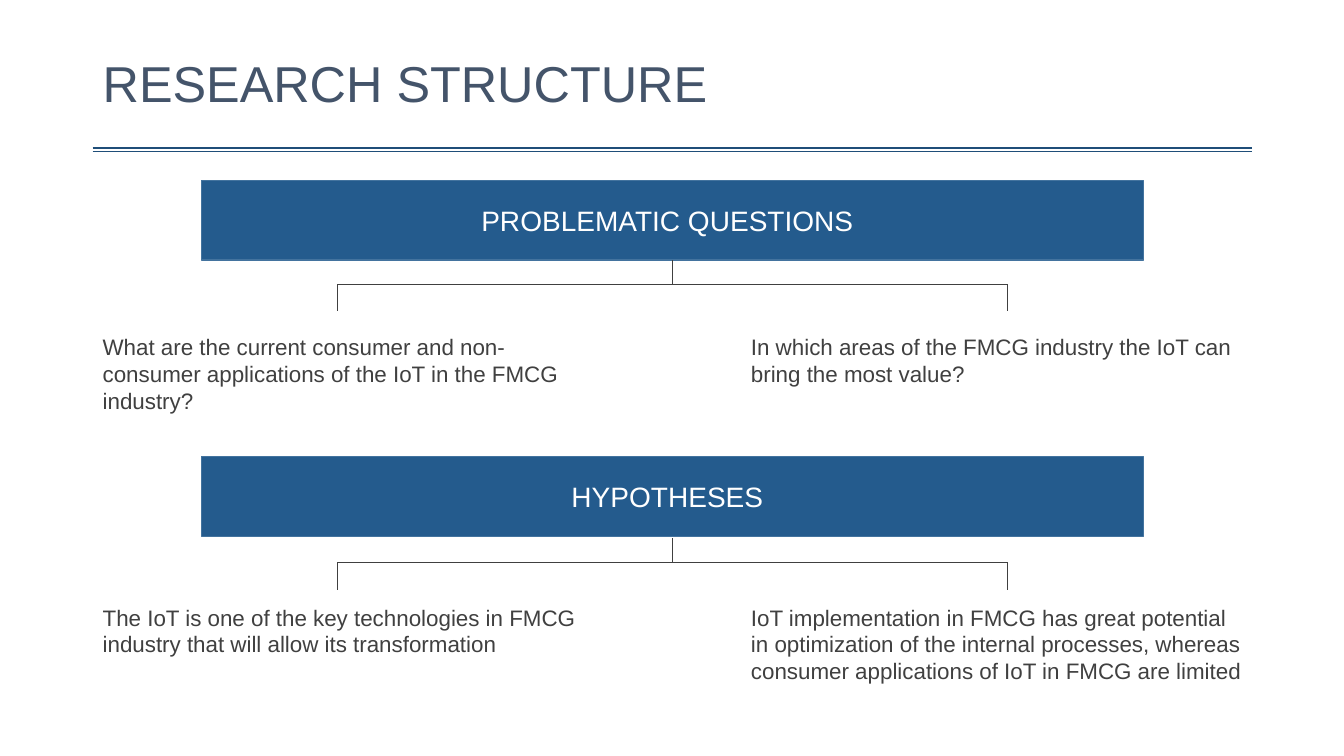
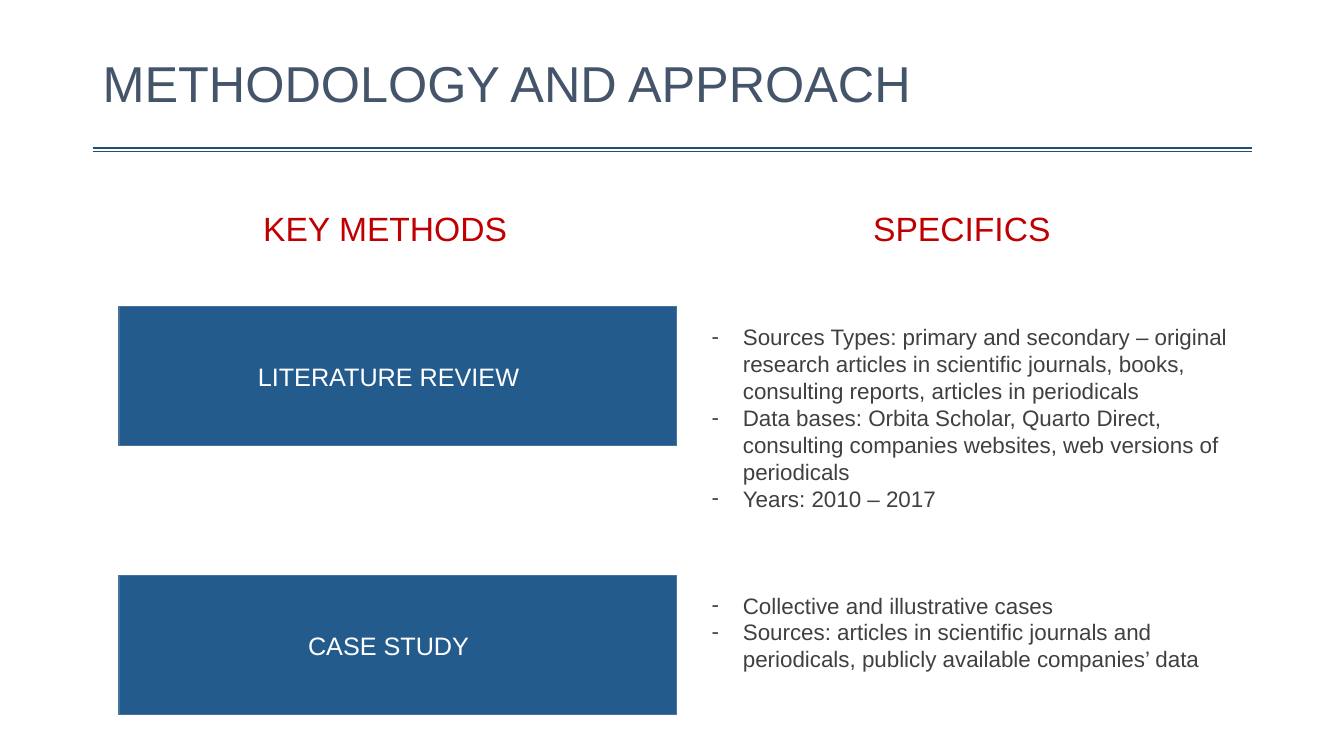
from dataclasses import dataclass
from lxml.etree import SubElement
from pptx import Presentation
from pptx.dml.color import RGBColor as RGB
from pptx.enum.shapes import MSO_CONNECTOR as CONN, MSO_SHAPE as SHAPE
from pptx.enum.text import MSO_ANCHOR as ANCHOR, PP_ALIGN as ALIGN
from pptx.oxml.ns import qn
from pptx.util import Inches, Pt

# Content
STRUCTURE_TITLE = "RESEARCH STRUCTURE"
# Heading, its two branches, and the tops of the banner, tree and branch text
STRUCTURE = [
    ("PROBLEMATIC QUESTIONS",
     ["What are the current consumer and non-consumer applications of the IoT "
      "in the FMCG industry?",
      "In which areas of the FMCG industry the IoT can bring the most value?"],
     1.79, 2.58, 3.26),
    ("HYPOTHESES",
     ["The IoT is one of the key technologies in FMCG industry that will "
      "allow its transformation",
      "IoT implementation in FMCG has great potential in optimization of the "
      "internal processes, whereas consumer applications of IoT in FMCG are "
      "limited"],
     4.53, 5.34, 5.94),
]

METHODS_TITLE = "METHODOLOGY AND APPROACH"
COLUMN_HEADS = [("KEY METHODS", 3.82), ("SPECIFICS", 9.54)]  # text, centre
# Method, specifics, and the tops of the box and the list
METHODS = [
    ("LITERATURE REVIEW",
     ["Sources Types: primary and secondary – original research articles in "
      "scientific journals, books, consulting reports, articles in periodicals",
      "Data bases: Orbita Scholar, Quarto Direct, consulting companies "
      "websites, web versions of periodicals",
      "Years: 2010 – 2017"],
     3.04, 3.16),
    ("CASE STUDY",
     ["Collective and illustrative cases",
      "Sources: articles in scientific journals and periodicals, publicly "
      "available companies’ data"],
     5.71, 5.82),
]


@dataclass(frozen=True)
class Theme:
    font: str = "Arial"
    title: RGB = RGB(0x44, 0x54, 0x6A)
    rule: RGB = RGB(0x1F, 0x4E, 0x79)
    box: RGB = RGB(0x24, 0x5B, 0x8D)
    edge: RGB = RGB(0x43, 0x73, 0x9E)
    text: RGB = RGB(0x40, 0x40, 0x40)
    accent: RGB = RGB(0xC0, 0x00, 0x00)
    white: RGB = RGB(0xFF, 0xFF, 0xFF)
    title_size: int = 36
    head_size: int = 24
    banner_size: int = 20
    label_size: int = 18
    body_size: int = 16


T = Theme()
LEFT, RIGHT = 0.92, 12.42
INDENT = Inches(0.31)


# Helpers
def write(tf, *texts, size=T.body_size, color=T.text, align=ALIGN.LEFT,
          anchor=ANCHOR.TOP, spacing=1.0, bullet=None):
    tf.word_wrap = True
    tf.vertical_anchor = anchor
    for i, text in enumerate(texts):
        p = tf.add_paragraph() if i else tf.paragraphs[0]
        p.alignment, p.line_spacing = align, spacing
        if bullet:
            pPr = p._p.get_or_add_pPr()
            pPr.set("marL", str(INDENT))
            pPr.set("indent", str(-INDENT))
            SubElement(pPr, qn("a:buFont"), typeface=T.font)
            SubElement(pPr, qn("a:buChar"), char=bullet)
        r = p.add_run()
        r.text = text
        r.font.name, r.font.size, r.font.color.rgb = T.font, Pt(size), color


def add_text(s, x, y, w, h, *texts, **fmt):
    write(s.shapes.add_textbox(*map(Inches, (x, y, w, h))).text_frame,
          *texts, **fmt)


def add_box(s, x, y, w, h, text, size, right_inset):
    sp = s.shapes.add_shape(SHAPE.RECTANGLE, *map(Inches, (x, y, w, h)))
    sp.shadow.inherit = False
    sp.fill.solid()
    sp.fill.fore_color.rgb = T.box
    sp.line.color.rgb, sp.line.width = T.edge, Pt(1)
    sp.text_frame.margin_right = Inches(right_inset)
    write(sp.text_frame, text, size=size, color=T.white, align=ALIGN.CENTER,
          anchor=ANCHOR.MIDDLE)


def add_line(s, x1, y1, x2, y2, color=T.text, width=0.5):
    line = s.shapes.add_connector(CONN.STRAIGHT,
                                  *map(Inches, (x1, y1, x2, y2)))
    line.line.color.rgb, line.line.width = color, Pt(width)
    SubElement(line._element.spPr, qn("a:effectLst"))


def add_tree(s, top, left=3.35, right=9.99, drop=0.24, leg=0.27):
    middle, bar = (left + right) / 2, top + drop
    add_line(s, middle, top, middle, bar)
    add_line(s, left, bar, right, bar)
    for x in (left, right):
        add_line(s, x, bar, x, bar + leg)


def new_slide(prs, title):
    s = prs.slides.add_slide(prs.slide_layouts[6])
    add_text(s, LEFT, 0.4, RIGHT - LEFT, 0.91, title, size=T.title_size,
             color=T.title, anchor=ANCHOR.MIDDLE, spacing=0.9)
    for y in (1.47, 1.5):
        add_line(s, LEFT, y, RIGHT, y, T.rule, 1)
    return s


# Slides
def structure_slide(prs):
    s = new_slide(prs, STRUCTURE_TITLE)
    for heading, branches, banner_y, tree_y, text_y in STRUCTURE:
        add_box(s, 2, banner_y, 9.34, 0.79, heading, T.banner_size, 0.2)
        add_tree(s, tree_y)
        for x, text in zip((LEFT, 7.35), branches):
            add_text(s, x, text_y, 5.06, 0.91, text)


def methods_slide(prs):
    s = new_slide(prs, METHODS_TITLE)
    head_w = 3
    for text, centre in COLUMN_HEADS:
        add_text(s, centre - head_w / 2, 2.01, head_w, 0.5, text,
                 size=T.head_size, color=T.accent, align=ALIGN.CENTER)
    for method, specifics, box_y, list_y in METHODS:
        add_box(s, 1.18, box_y, 5.53, 1.38, method, T.label_size, 0.28)
        add_text(s, 6.96, list_y, 5.61, 1.45, *specifics, bullet="-")


def main():
    prs = Presentation()
    prs.slide_width, prs.slide_height = Inches(13.33), Inches(7.5)
    structure_slide(prs)
    methods_slide(prs)
    prs.save("out.pptx")


if __name__ == "__main__":
    main()
